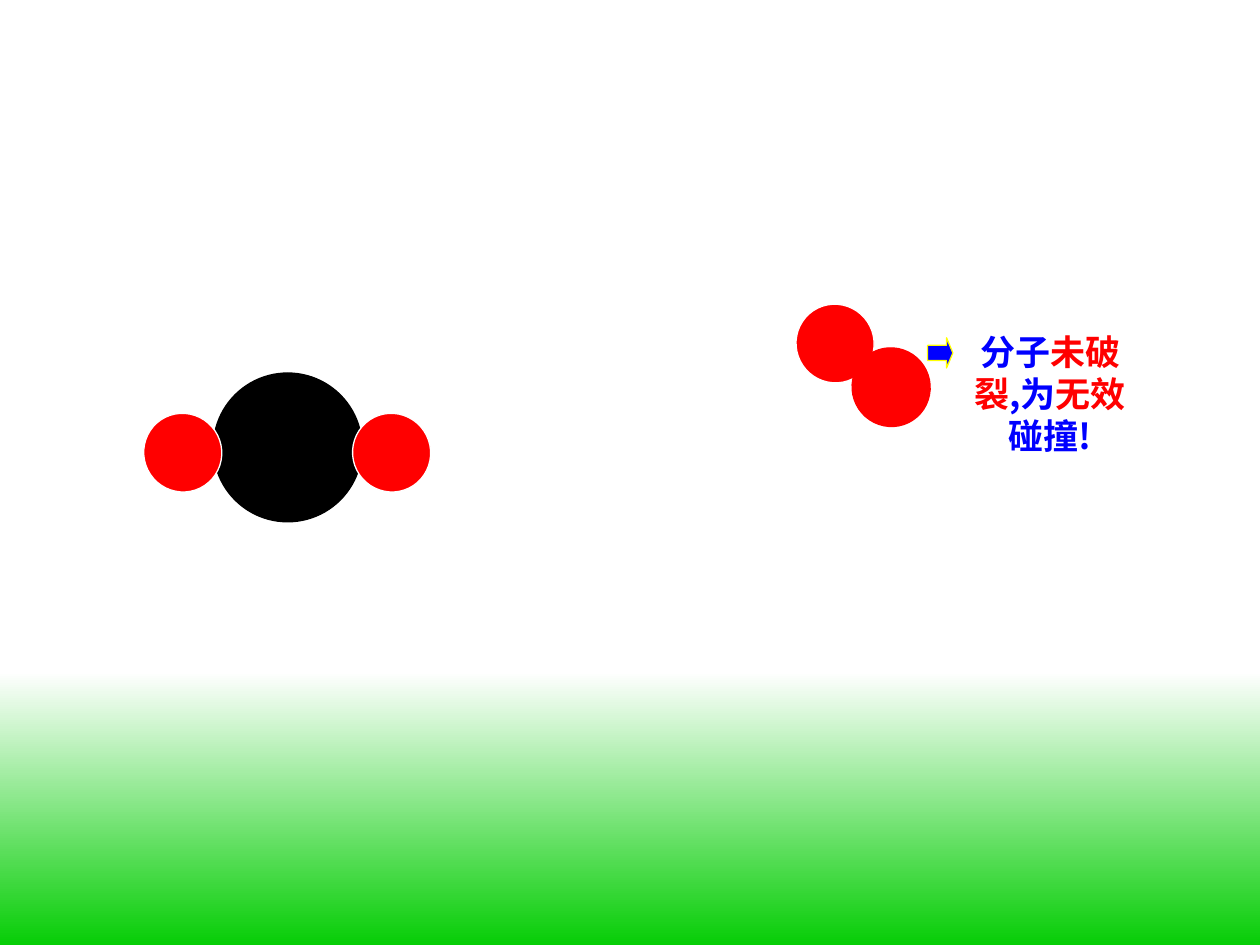
from lxml import etree
from pptx import Presentation
from pptx.dml.color import RGBColor
from pptx.enum.shapes import MSO_SHAPE as Preset
from pptx.enum.text import MSO_AUTO_SIZE as AutoSize, PP_ALIGN as Align
from pptx.oxml.ns import qn
from pptx.util import Cm, Pt

COLORS = {
    "white": "FFFFFF",
    "black": "000000",
    "red": "FF0000",
    "blue": "0000FF",
    "yellow": "FFFF00",
    "green": "00CC00",
}
FONT = "Noto Sans CJK SC"

GROUND = (0, 13.54, 25.43, 5.66)
CARBON = (4.3, 7.52, 3, 3)
ARROW = (18.7, 6.81, 0.51, 0.61)
CAPTION = (19.05, 6.53, 4.24, 1.96)
CAPTION_RUNS = [
    ("分子", "blue"),
    ("未破裂", "red"),
    (",为", "blue"),
    ("无效", "red"),
    ("碰撞!", "blue"),
]
OXYGEN_SIZE = (1.57, 1.59)
OXYGEN_TILT = 333.7
OXYGENS = [
    (7.11, 8.33, "white"),
    (2.9, 8.33, "white"),
    (16.05, 6.13, "white"),
    (17.18, 7.01, "red"),
]


def rgb(name):
    return RGBColor.from_string(COLORS[name])


def add_filled(slide, preset, box, fill, line):
    shape = slide.shapes.add_shape(preset, *map(Cm, box))
    shape.shadow.inherit = False
    shape.fill.solid()
    shape.fill.fore_color.rgb = rgb(fill)
    shape.line.color.rgb = rgb(line)
    shape.line.width = Pt(0.75)
    return shape


def add_ground(slide):
    ground = slide.shapes.add_shape(Preset.RECTANGLE, *map(Cm, GROUND))
    ground.shadow.inherit = False
    ground.line.fill.background()
    ground.fill.gradient()
    ground.fill.gradient_angle = 270
    for stop, name in zip(ground.fill.gradient_stops, ("white", "green")):
        stop.color.rgb = rgb(name)


def add_caption(slide):
    frame = slide.shapes.add_textbox(*map(Cm, CAPTION)).text_frame
    frame.word_wrap = True
    frame.auto_size = AutoSize.SHAPE_TO_FIT_TEXT
    paragraph = frame.paragraphs[0]
    paragraph.alignment = Align.CENTER
    paragraph.line_spacing = Pt(24)
    paragraph._p.get_or_add_pPr().set("hangingPunct", "0")
    for text, color in CAPTION_RUNS:
        run = paragraph.add_run()
        run.text = text
        run.font.size = Pt(20)
        run.font.bold = True
        run.font.color.rgb = rgb(color)
        run.font.name = FONT
        east_asian = etree.SubElement(run.font._element, qn("a:ea"))
        east_asian.set("typeface", FONT)


def main():
    presentation = Presentation()
    presentation.slide_width, presentation.slide_height = Cm(25.4), Cm(19.05)
    slide = presentation.slides.add_slide(presentation.slide_layouts[6])

    add_ground(slide)
    add_filled(slide, Preset.OVAL, CARBON, "black", "black")
    arrow = add_filled(slide, Preset.RIGHT_ARROW, ARROW, "blue", "yellow")
    arrow.adjustments[0], arrow.adjustments[1] = 0.5, 0.25
    add_caption(slide)
    for left, top, line in OXYGENS:
        oxygen = add_filled(slide, Preset.OVAL, (left, top, *OXYGEN_SIZE), "red", line)
        oxygen.rotation = OXYGEN_TILT

    presentation.save("out.pptx")


if __name__ == "__main__":
    main()
